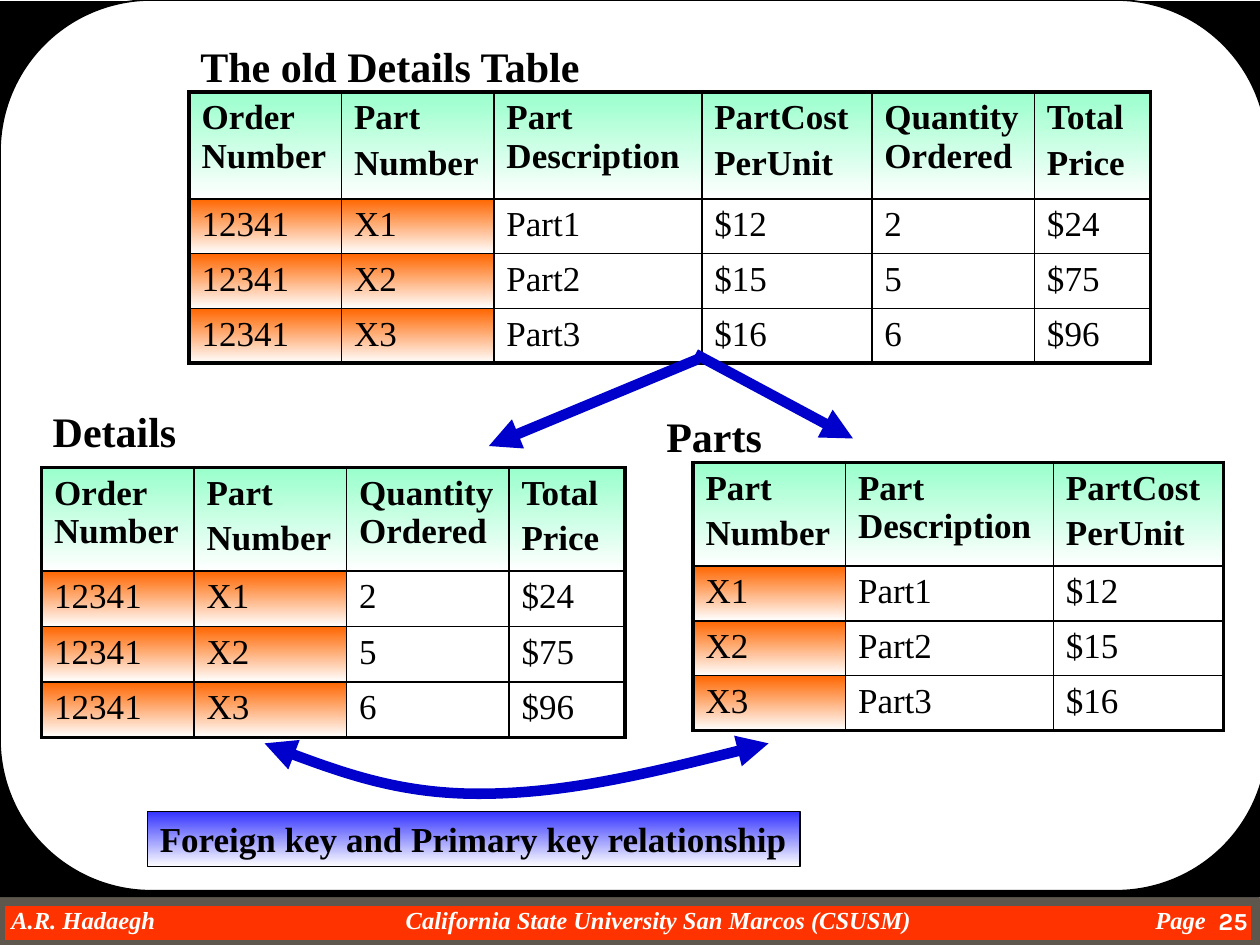
from dataclasses import dataclass

from lxml.etree import SubElement
from pptx import Presentation
from pptx.dml.color import RGBColor
from pptx.enum.shapes import MSO_CONNECTOR as Connector, MSO_SHAPE as Preset
from pptx.enum.text import MSO_ANCHOR as Anchor, MSO_AUTO_SIZE as AutoSize, PP_ALIGN as Align
from pptx.oxml import parse_xml
from pptx.oxml.ns import nsdecls, qn
from pptx.util import Inches, Pt

UNIT = Inches(0.1)  # the slide is a grid of 100 columns by 75 rows


@dataclass(frozen=True)
class Theme:
    serif: str = "Times New Roman"
    sans: str = "Karla"
    black: str = "000000"
    white: str = "FFFFFF"
    footer: str = "FF3300"
    footer_edge: str = "5E574E"
    header: str = "99FFCC"
    key: str = "FF6600"
    note: str = "3333FF"
    arrow: str = "0000CC"
    title_size: float = 24
    body_size: float = 20
    footer_size: float = 14
    arrow_width: float = 6
    outer_border: float = 2.25
    inner_border: float = 1


@dataclass(frozen=True)
class Box:
    left: float
    top: float
    width: float
    height: float

    def emu(self) -> tuple:
        return tuple(grid(n) for n in (self.left, self.top, self.width, self.height))


@dataclass(frozen=True)
class Column:
    header: tuple
    width: float
    values: tuple
    is_key: bool = False
    gap: float = 0  # points before the second header line


THEME = Theme()
ORDER = Column(("Order Number",), 12.1, ("12341",) * 3, is_key=True)
PART = Column(("Part", "Number"), 12.1, ("X1", "X2", "X3"), is_key=True, gap=4)
DESCRIPTION = Column(("Part", "Description"), 16.5, ("Part1", "Part2", "Part3"))
COST = Column(("PartCost", "PerUnit"), 13.5, ("$12", "$15", "$16"), gap=4)
QUANTITY = Column(("Quantity", "Ordered"), 12.9, ("2", "5", "6"))
TOTAL = Column(("Total", "Price"), 9.2, ("$24", "$75", "$96"), gap=4)


def grid(cells: float) -> int:
    return round(cells * UNIT)


def rgb(color: str) -> RGBColor:
    return RGBColor.from_string(color)


def add_run(paragraph, text: str, size: float, color: str = THEME.black,
            bold: bool = True, italic: bool = False, font: str = THEME.serif) -> None:
    run = paragraph.add_run()
    run.text = text
    run.font.name, run.font.size = font, Pt(size)
    run.font.bold, run.font.italic = bold, italic
    run.font.color.rgb = rgb(color)


def fade_to_white(fill, color: str) -> None:
    fill.gradient()
    fill.gradient_angle = 270
    for stop, stop_color in zip(fill.gradient_stops, (color, THEME.white)):
        stop.color.rgb = rgb(stop_color)


def set_line(shape, color: str, width: float) -> None:
    shape.line.color.rgb = rgb(color)
    shape.line.width = Pt(width)


def add_panel(slide, box: Box, fill: str, preset=Preset.RECTANGLE):
    shape = slide.shapes.add_shape(preset, *box.emu())
    shape.shadow.inherit = False
    shape.fill.solid()
    shape.fill.fore_color.rgb = rgb(fill)
    shape.line.fill.background()
    return shape


def write_label(shape, box: Box, text: str, size: float = THEME.title_size) -> None:
    shape.left, shape.top, shape.width, shape.height = box.emu()
    frame = shape.text_frame
    frame.word_wrap, frame.auto_size = False, AutoSize.SHAPE_TO_FIT_TEXT
    frame.vertical_anchor = Anchor.TOP
    paragraph = frame.paragraphs[0]
    paragraph.alignment = Align.LEFT
    add_run(paragraph, text, size)


def set_borders(cell, widths: dict) -> None:
    properties = cell._tc.get_or_add_tcPr()
    for index, (side, width) in enumerate(widths.items()):
        properties.insert(index, parse_xml(
            f'<a:ln{side} {nsdecls("a")} w="{Pt(width)}"><a:solidFill>'
            f'<a:srgbClr val="{THEME.black}"/></a:solidFill></a:ln{side}>'))


def add_data_table(slide, left: float, top: float, header_height: float,
                   row_height: float, columns: tuple) -> None:
    row_count = len(columns[0].values) + 1
    box = Box(left, top, sum(column.width for column in columns),
              header_height + row_height * (row_count - 1))
    table = slide.shapes.add_table(row_count, len(columns), *box.emu()).table
    table.first_row = table.horz_banding = False
    for r, row in enumerate(table.rows):
        row.height = grid(row_height if r else header_height)
    for c, column in enumerate(columns):
        table.columns[c].width = grid(column.width)
        for r, lines in enumerate((column.header, *((value,) for value in column.values))):
            cell = table.cell(r, c)
            if r == 0 or column.is_key:
                fade_to_white(cell.fill, THEME.key if r else THEME.header)
            else:
                cell.fill.background()
            for i, line in enumerate(lines):
                frame = cell.text_frame
                paragraph = frame.add_paragraph() if i else frame.paragraphs[0]
                if i and column.gap:
                    paragraph.space_before = Pt(column.gap)
                add_run(paragraph, line, THEME.body_size, bold=r == 0)
            on_edge = {"L": c == 0, "R": c == len(columns) - 1,
                       "T": r == 0, "B": r == row_count - 1}
            set_borders(cell, {side: THEME.outer_border if outer else THEME.inner_border
                               for side, outer in on_edge.items()})


def style_arrow(shape, *ends: str) -> None:
    set_line(shape, THEME.arrow, THEME.arrow_width)
    for end in ends:
        SubElement(shape.line._get_or_add_ln(), qn(f"a:{end}"), type="triangle")
    SubElement(shape._element.spPr, qn("a:effectLst"))


def add_curve(slide, start: tuple, *controls: tuple) -> None:
    """Draw a double arrow along cubic curves, three control points each."""
    builder = slide.shapes.build_freeform(*start, scale=UNIT)
    builder.add_line_segments(controls, close=False)
    shape = builder.convert_to_shape()
    shape.fill.background()
    outline = next(shape._element.iter(qn("a:path")))
    segments = outline.findall(qn("a:lnTo"))
    for first in range(0, len(segments), 3):
        curve = SubElement(outline, qn("a:cubicBezTo"))
        for segment in segments[first:first + 3]:
            curve.append(segment[0])
            outline.remove(segment)
    style_arrow(shape, "headEnd", "tailEnd")


def add_backdrop(slide) -> None:
    # Footer bar
    bar = add_panel(slide, Box(0, 71.5, 99.7, 3.5), THEME.footer)
    set_line(bar, THEME.footer_edge, 6)
    footer = slide.shapes.add_textbox(*Box(0, 71.8, 96.8, 2.3).emu()).text_frame
    footer.margin_left = grid(0.9)
    footer.margin_top = footer.margin_right = footer.margin_bottom = 0
    paragraph = footer.paragraphs[0]
    tabs = SubElement(paragraph._p.get_or_add_pPr(), qn("a:tabLst"))
    for stop in (31.3, 90.8):
        SubElement(tabs, qn("a:tab"), pos=str(grid(stop)), algn="l")
    add_run(paragraph, "A.R. Hadaegh\tCalifornia State University San Marcos (CSUSM)\tPage",
            THEME.footer_size, THEME.white, italic=True)
    # Black surround and rounded white page
    add_panel(slide, Box(0, 0.1, 100, 71.1), THEME.black)
    page = add_panel(slide, Box(0, 0, 100.6, 70.7), THEME.white, Preset.ROUNDED_RECTANGLE)
    page.adjustments[0] = 0.17
    set_line(page, THEME.black, 1)
    # Page number
    number = slide.shapes.add_textbox(*Box(92.5, 71.2, 7.5, 3.8).emu()).text_frame
    number.word_wrap, number.vertical_anchor = True, Anchor.MIDDLE
    number.paragraphs[0].alignment = Align.RIGHT
    add_run(number.paragraphs[0], "25", THEME.footer_size, THEME.white, font=THEME.sans)


def main() -> None:
    presentation = Presentation()
    presentation.slide_width, presentation.slide_height = 100 * UNIT, 75 * UNIT
    slide = presentation.slides.add_slide(presentation.slide_layouts[5])
    shapes = slide.shapes
    add_backdrop(slide)

    # Tables
    add_data_table(slide, 15, 7.3, 8.5, 4.33, (ORDER, PART, DESCRIPTION, COST, QUANTITY, TOTAL))
    add_data_table(slide, 3.3, 37.1, 8.2, 4.4, (ORDER, PART, QUANTITY, TOTAL))
    add_data_table(slide, 55, 36.7, 8.1, 4.35, (PART, DESCRIPTION, COST))

    # Title, brought in front of the backdrop, and table names
    title = shapes.title
    shapes._spTree.append(title._element)
    write_label(title, Box(14.9, 2.7, 32.5, 5), "The old Details Table")
    for box, text in ((Box(3.2, 31.7, 11.8, 5), "Details"), (Box(51.9, 32.1, 9.6, 5), "Parts")):
        write_label(shapes.add_textbox(*box.emu()), box, text)

    # Arrows from the old table to the new ones, and between the keys
    for points in ((55.4, 28.5, 38.8, 35.4), (55.2, 28.1, 67.7, 34.8)):
        arrow = shapes.add_connector(Connector.STRAIGHT, *map(grid, points))
        style_arrow(arrow, "tailEnd")
    add_curve(slide, (60.6, 59.3), (52.6, 61.1), (44.7, 62.8), (38.1, 62.8),
              (31.5, 62.8), (26.3, 61.1), (21, 59.3))

    # Relationship note
    note_box = Box(11.7, 64.4, 51.8, 4.4)
    note = add_panel(slide, note_box, THEME.note)
    fade_to_white(note.fill, THEME.note)
    set_line(note, THEME.black, 0.75)
    write_label(note, note_box, "Foreign key and Primary key relationship", THEME.body_size)

    presentation.save("out.pptx")


if __name__ == "__main__":
    main()
